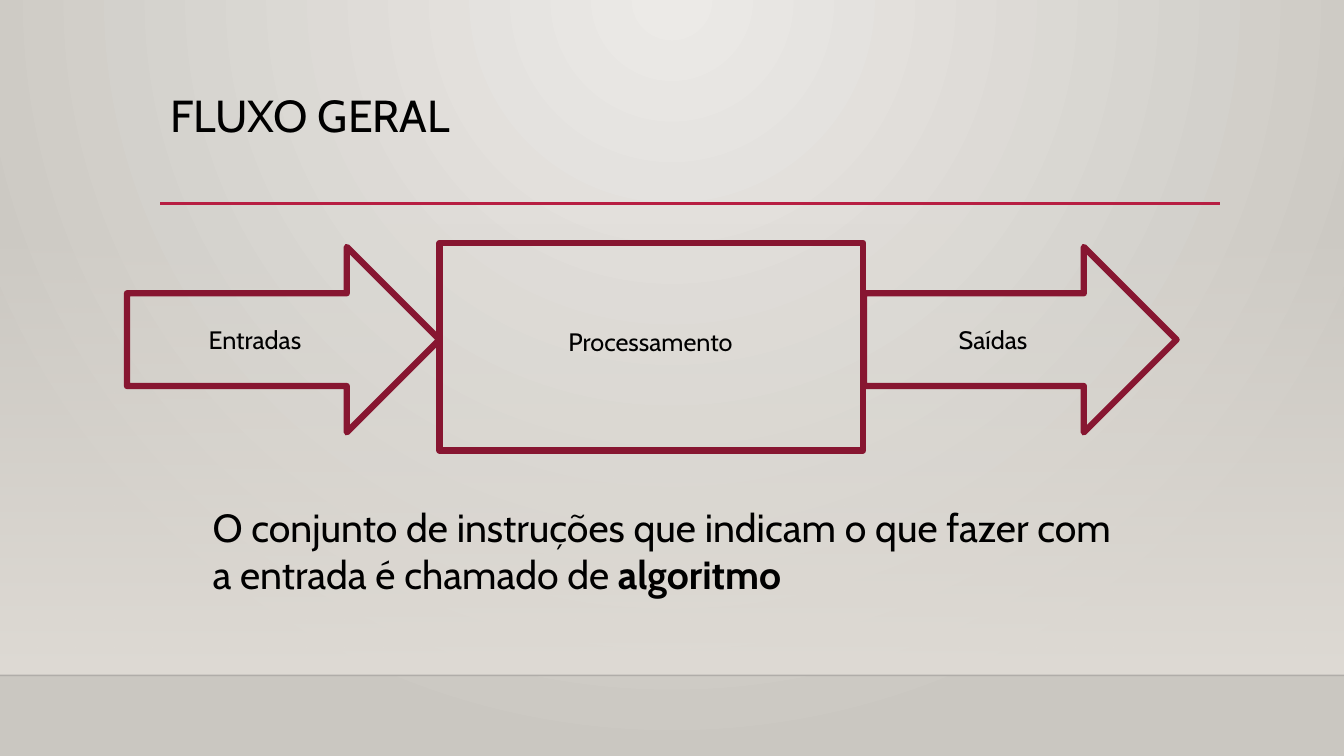
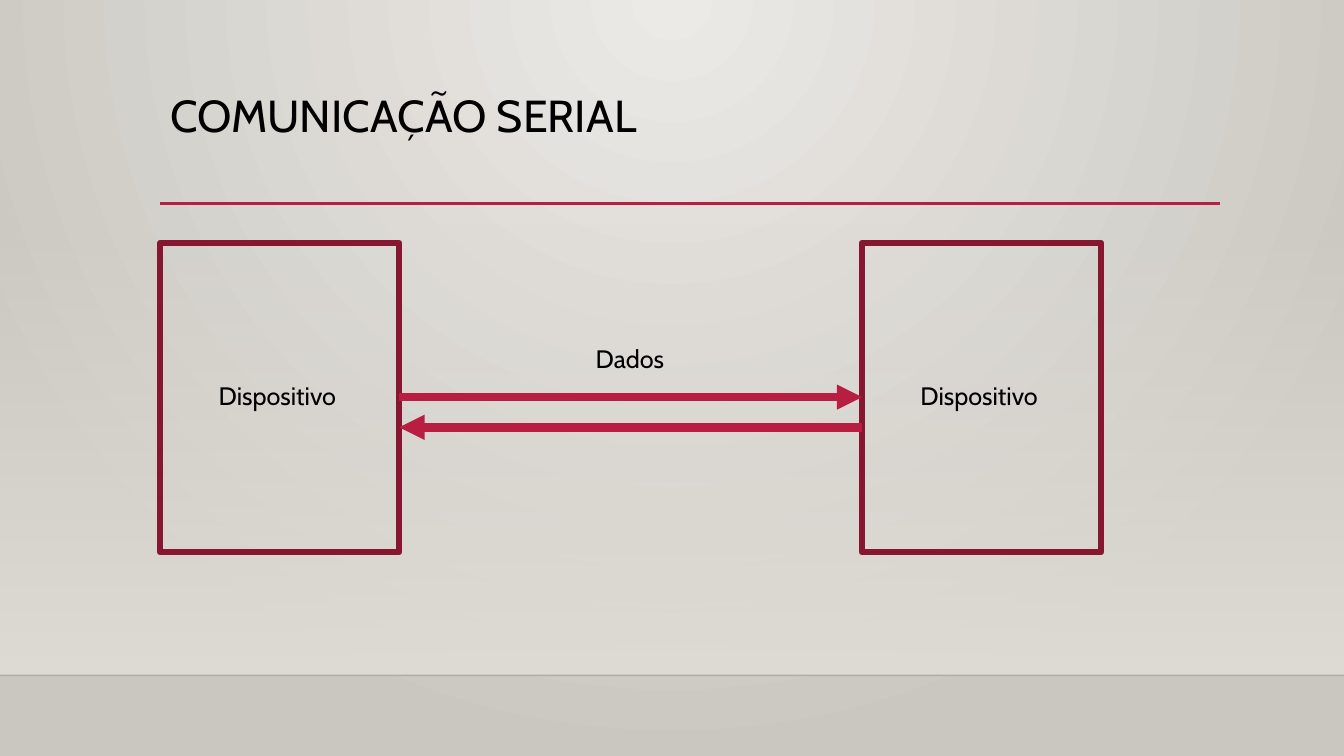
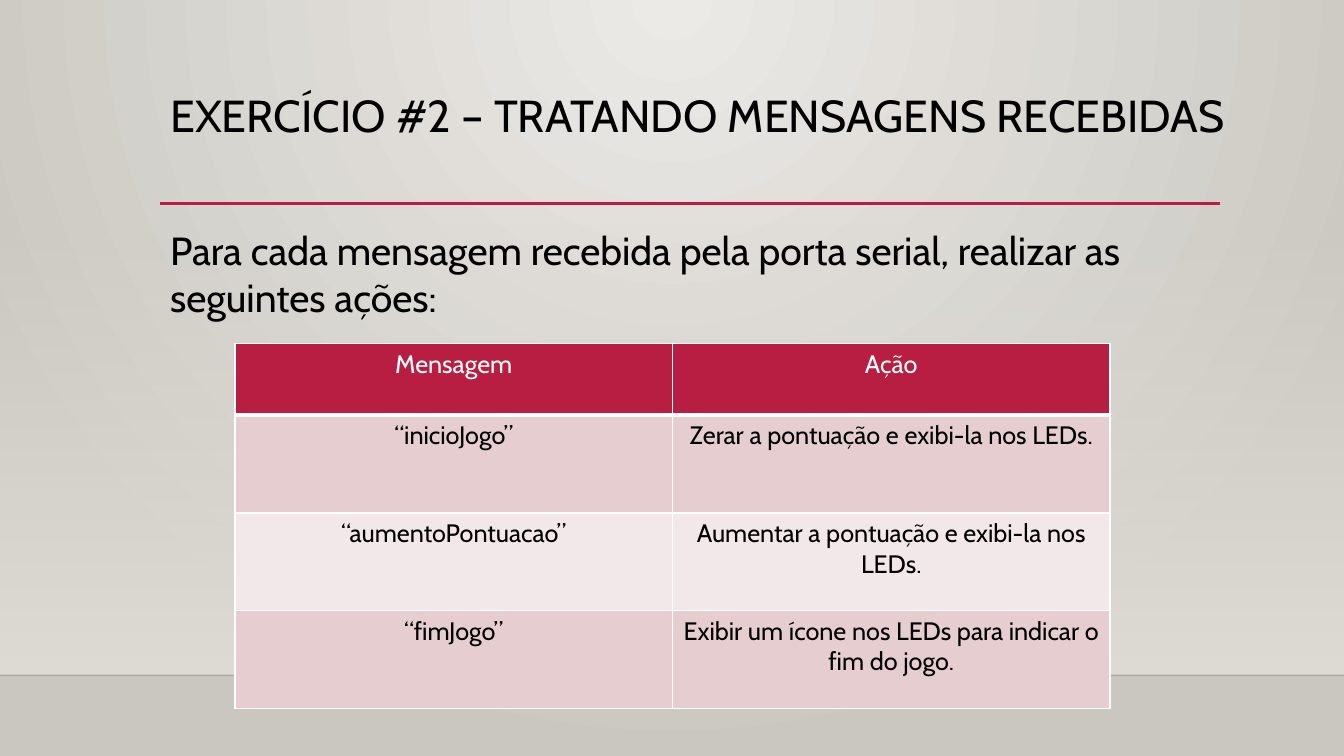
from lxml.etree import SubElement
from pptx import Presentation
from pptx.dml.color import RGBColor
from pptx.enum.shapes import MSO_CONNECTOR, MSO_SHAPE
from pptx.enum.text import PP_ALIGN
from pptx.oxml.ns import qn
from pptx.util import Inches, Pt

FONT = "Cabin"
BLACK, WHITE = "000000", "FFFFFF"
CRIMSON, WINE = "B71E42", "871631"
SAND = "DFDBD5"
ROSE, PALE_ROSE = "E6CDCF", "F3E8E9"
color = RGBColor.from_string


def write(frame, spans, size, ink=BLACK):
    """Fill the first paragraph with (text, bold) spans and return it."""
    frame.word_wrap = True
    para = frame.paragraphs[0]
    for text, bold in spans:
        span = para.add_run()
        span.text = text
        span.font.name = FONT
        span.font.size = Pt(size)
        span.font.bold = bold
        span.font.color.rgb = color(ink)
    return para


def add_line(page, start, end, ink, width):
    """Draw a shadowless line and return its a:ln element."""
    points = [Inches(length) for length in (*start, *end)]
    connector = page.shapes.add_connector(MSO_CONNECTOR.STRAIGHT, *points)
    connector.line.color.rgb = color(ink)
    connector.line.width = Pt(width)
    properties = connector.element.spPr
    SubElement(properties, qn("a:effectLst"))
    return properties.find(qn("a:ln"))


deck = Presentation()
deck.slide_width, deck.slide_height = Inches(13.33), Inches(7.5)

# Shared background: a glow from the middle of the top edge
backdrop = deck.slide_master.background.fill
backdrop.gradient()
for stop, ink in zip(backdrop.gradient_stops, ("ECEAE7", "CAC7C1")):
    stop.color.rgb = color(ink)
gradient = deck.slide_master.element.find(".//" + qn("p:bgPr")).find(qn("a:gradFill"))
gradient.remove(gradient.find(qn("a:lin")))
glow = SubElement(gradient, qn("a:path"), {"path": "circle"})
SubElement(glow, qn("a:fillToRect"), l="43000", t="0", r="43000", b="100000")

# Shared band, lines and title
titles = [
    ("FLUXO GERAL", 10.5),
    ("COMUNICAÇÃO SERIAL", 10.5),
    ("EXERCÍCIO #2 – TRATANDO MENSAGENS RECEBIDAS", 10.88),
]
pages = []
for title, width in titles:
    page = deck.slides.add_slide(deck.slide_layouts[6])
    pages.append(page)

    band = page.shapes.add_shape(
        MSO_SHAPE.RECTANGLE, 0, Inches(2.21), deck.slide_width, Inches(4.49))
    band.shadow.inherit = False
    band.line.fill.background()
    band.fill.gradient()
    band.fill.gradient_angle = 270
    for stop in band.fill.gradient_stops:
        stop.color.rgb = color(SAND)
    clear = band.element.spPr.find(".//" + qn("a:srgbClr"))
    SubElement(clear, qn("a:alpha"), val="0")

    floor = add_line(page, (0, 6.7), (13.33, 6.7), "000001", 1)
    SubElement(floor.find(".//" + qn("a:srgbClr")), qn("a:alpha"), val="20000")
    add_line(page, (1.59, 2.02), (12.1, 2.02), CRIMSON, 2.5)

    box = page.shapes.add_textbox(Inches(1.59), Inches(0.88), Inches(width), Inches(1.15))
    write(box.text_frame, [(title, False)], 32).line_spacing = 0.9

flow, serial, exercise = pages

# Outlined blocks of the two diagrams
blocks = [
    (flow, MSO_SHAPE.RIGHT_ARROW, 8.57, 2.45, 3.1, 1.84),
    (flow, MSO_SHAPE.RIGHT_ARROW, 1.26, 2.45, 3.1, 1.84),
    (flow, MSO_SHAPE.RECTANGLE, 4.36, 2.41, 4.2, 2.06),
    (serial, MSO_SHAPE.RECTANGLE, 1.59, 2.41, 2.37, 3.07),
    (serial, MSO_SHAPE.RECTANGLE, 8.55, 2.41, 2.37, 3.07),
]
for page, kind, *place in blocks:
    block = page.shapes.add_shape(kind, *[Inches(length) for length in place])
    block.shadow.inherit = False
    block.fill.background()
    block.line.color.rgb = color(WINE)
    block.line.width = Pt(4.5)
    SubElement(block.element.spPr.find(qn("a:ln")), qn("a:round"))

# Data going both ways between the devices
for start, end in [((3.96, 3.94), (8.55, 3.94)), ((8.55, 4.24), (3.96, 4.24))]:
    arrow = add_line(serial, start, end, CRIMSON, 6)
    SubElement(arrow, qn("a:tailEnd"), type="triangle")

# Labels and body text
texts = [
    (flow, [("Entradas", False)], 18, 1.97, 3.17, 1.69, 0.4),
    (flow, [("Saídas", False)], 18, 9.41, 3.17, 1.69, 0.4),
    (flow, [("Processamento", False)], 18, 5.54, 3.19, 2.96, 0.4),
    (flow, [("O conjunto de instruções que indicam o que fazer com a entrada é chamado de ", False),
            ("algoritmo", True)], 28, 2.01, 4.94, 9.32, 1.04),
    (serial, [("Dispositivo", False)], 18, 2.07, 3.72, 1.41, 0.4),
    (serial, [("Dispositivo", False)], 18, 9.03, 3.72, 1.41, 0.4),
    (serial, [("Dados", False)], 18, 5.81, 3.36, 0.9, 0.4),
    (exercise, [("Para cada mensagem recebida pela porta serial, realizar as seguintes ações:", False)],
     28, 1.59, 2.2, 9.63, 3.26),
]
for page, spans, size, *place in texts:
    box = page.shapes.add_textbox(*[Inches(length) for length in place])
    write(box.text_frame, spans, size)

# Table of messages and actions
rows = [
    ("Mensagem", "Ação"),
    ("“inicioJogo”", "Zerar a pontuação e exibi-la nos LEDs."),
    ("“aumentoPontuacao”", "Aumentar a pontuação e exibi-la nos LEDs."),
    ("“fimJogo”", "Exibir um ícone nos LEDs para indicar o fim do jogo."),
]
fills = [CRIMSON, ROSE, PALE_ROSE, ROSE]
table = exercise.shapes.add_table(
    len(rows), 2, Inches(2.33), Inches(3.41), Inches(8.68), Inches(3.62)).table
for column in table.columns:
    column.width = Inches(4.34)
for index, (texts_in_row, fill) in enumerate(zip(rows, fills)):
    header = index == 0
    table.rows[index].height = Inches(0.71 if header else 0.97)
    for cell, text in zip(table.rows[index].cells, texts_in_row):
        para = write(cell.text_frame, [(text, False)], 18, WHITE if header else BLACK)
        para.alignment = PP_ALIGN.CENTER
        properties = cell._tc.get_or_add_tcPr()
        for side in ("lnL", "lnR", "lnT", "lnB"):
            thick = (index, side) in [(0, "lnB"), (1, "lnT")]
            border = SubElement(properties, qn("a:" + side), w=str(Pt(3 if thick else 1)))
            SubElement(SubElement(border, qn("a:solidFill")), qn("a:srgbClr"), val=WHITE)
        cell.fill.solid()
        cell.fill.fore_color.rgb = color(fill)

deck.save("out.pptx")
